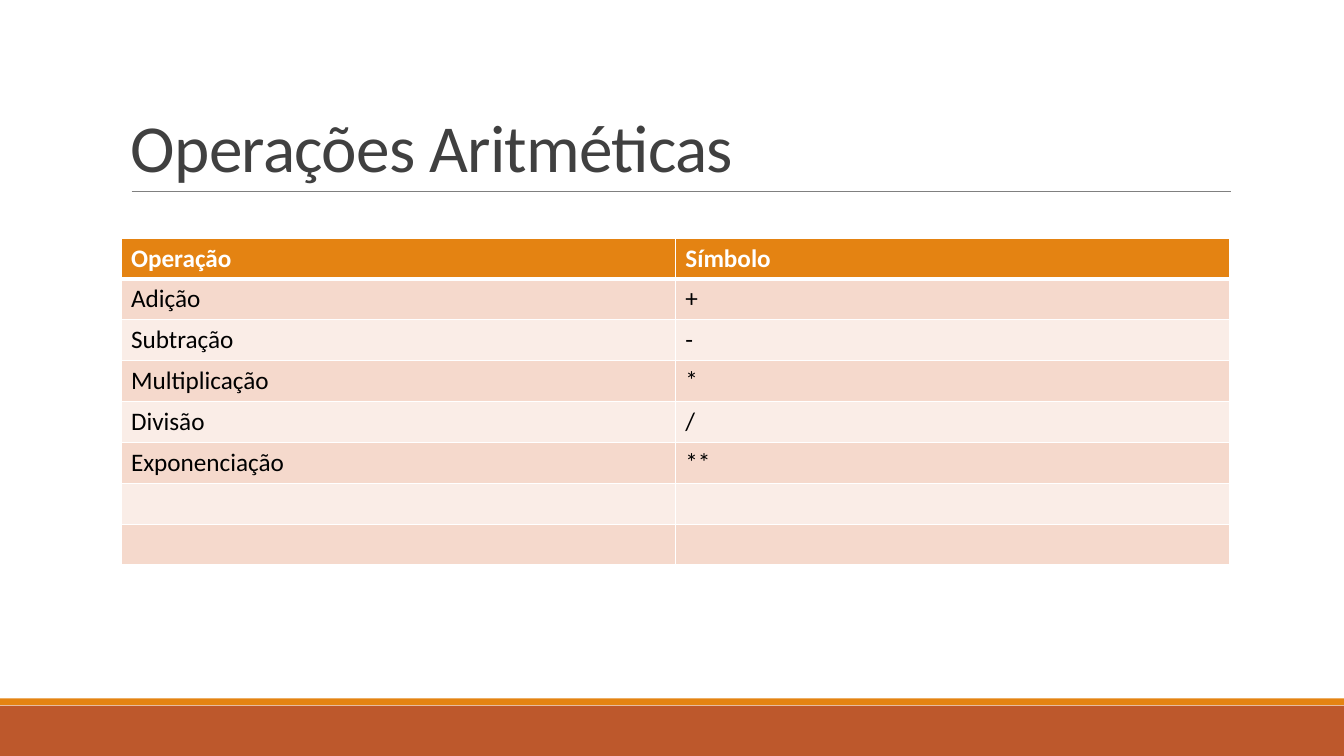
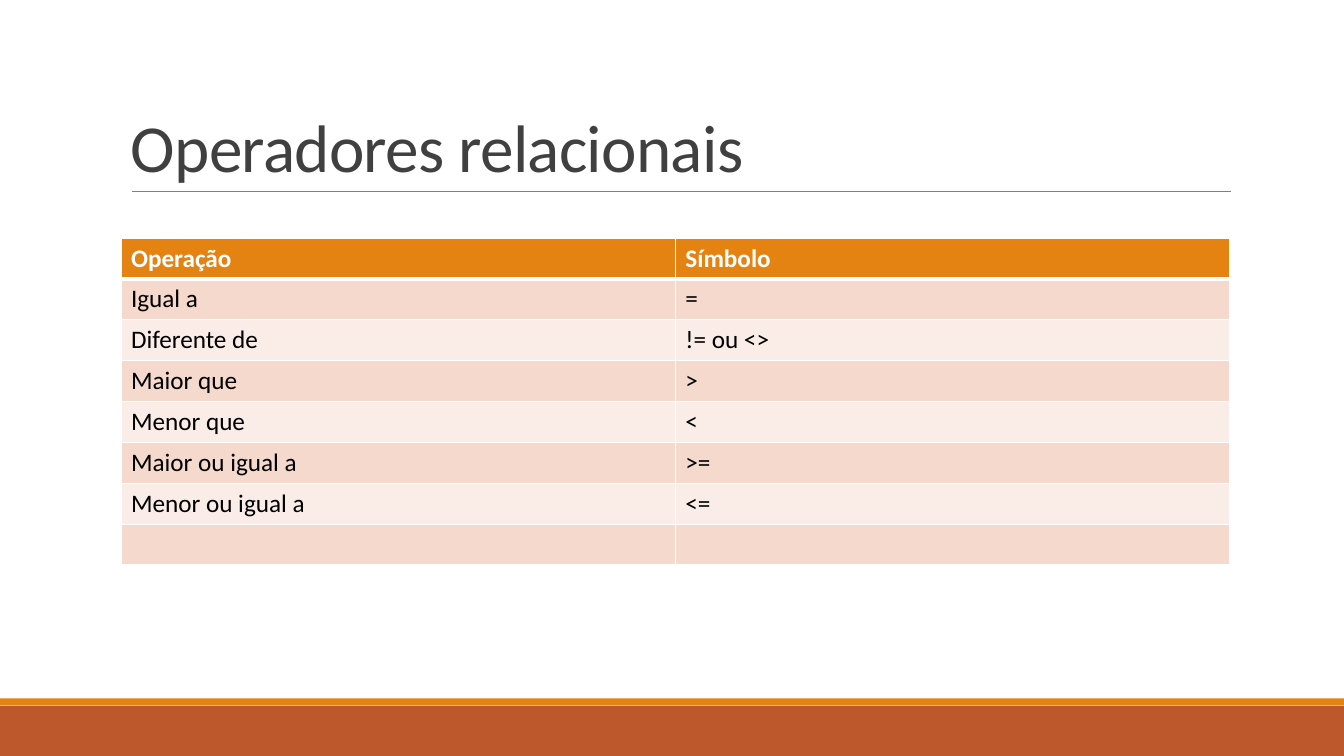
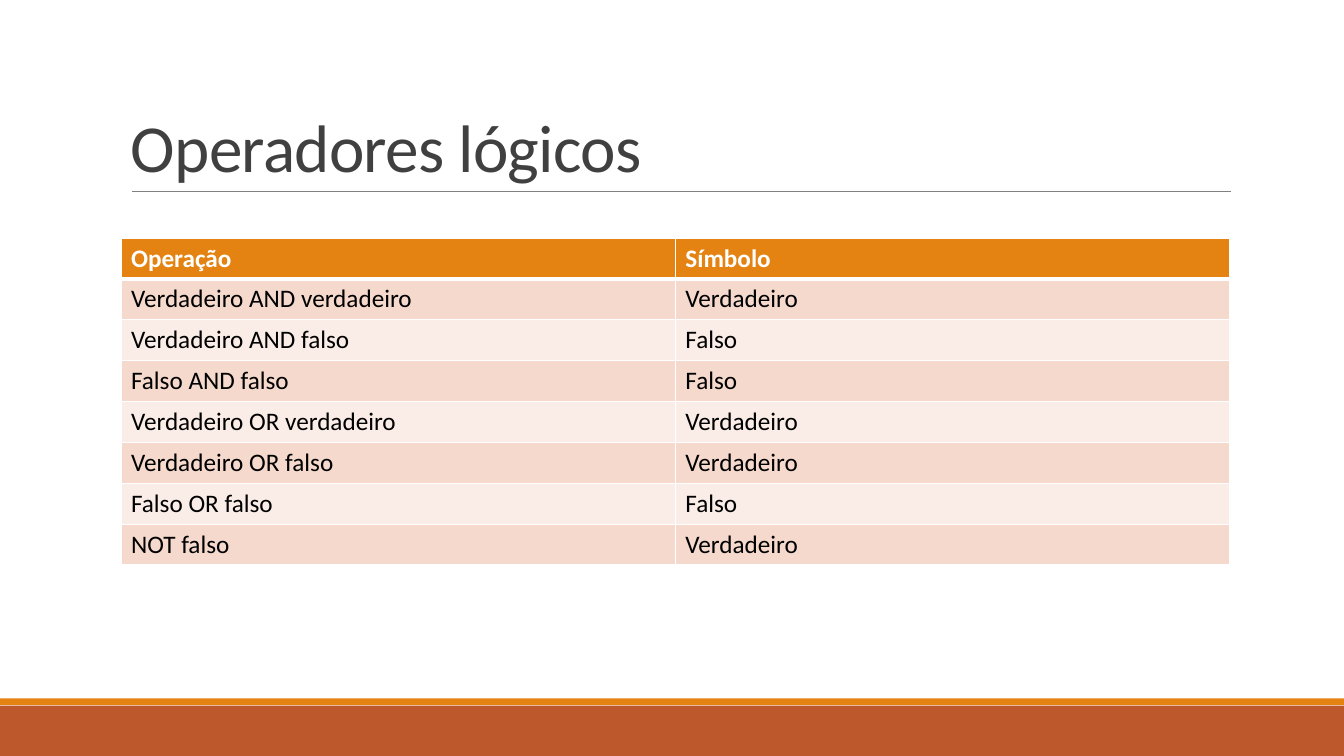
from lxml import etree
from pptx import Presentation
from pptx.dml.color import RGBColor
from pptx.enum.shapes import MSO_CONNECTOR, MSO_SHAPE
from pptx.enum.text import MSO_ANCHOR
from pptx.oxml.ns import qn
from pptx.util import Pt

RECTANGLE = MSO_SHAPE.RECTANGLE
STRAIGHT = MSO_CONNECTOR.STRAIGHT
BOTTOM = MSO_ANCHOR.BOTTOM

FONT = "Calibri"
WHITE, BLACK, TITLE_GREY, RULE_GREY = "FFFFFF", "000000", "404040", "808080"
ORANGE, RUST = "E48312", "BD582C"
ROW_FILLS = ["FAEDE7", "F5D9CC"]

SLIDE_WIDTH, SLIDE_HEIGHT = 960, 540
CONTENT_LEFT, CONTENT_WIDTH = 86.4, 792
TABLE_TOP, ROW_HEIGHT, ROW_COUNT = 170, 29.2, 8
BANDS = [(504, 36, RUST), (498.8, 5, ORANGE)]

HEADER = ("Operação", "Símbolo")
SLIDES = [
    ("Operações Aritméticas", [
        ("Adição", "+"),
        ("Subtração", "-"),
        ("Multiplicação", "*"),
        ("Divisão", "/"),
        ("Exponenciação", "**"),
    ]),
    ("Operadores relacionais", [
        ("Igual a", "="),
        ("Diferente de", "!= ou <>"),
        ("Maior que", ">"),
        ("Menor que", "<"),
        ("Maior ou igual a", ">="),
        ("Menor ou igual a", "<="),
    ]),
    ("Operadores lógicos", [
        ("Verdadeiro AND verdadeiro", "Verdadeiro"),
        ("Verdadeiro AND falso", "Falso"),
        ("Falso AND falso", "Falso"),
        ("Verdadeiro OR verdadeiro", "Verdadeiro"),
        ("Verdadeiro OR falso", "Verdadeiro"),
        ("Falso OR falso", "Falso"),
        ("NOT falso", "Verdadeiro"),
    ]),
]


def paint(color_format, color):
    """Set a fill, line or font colour from a hex string."""
    color_format.rgb = RGBColor.from_string(color)


def add_run(paragraph, text, size, color, bold=False):
    run = paragraph.add_run()
    run.text = text
    run.font.name = FONT
    run.font.size = Pt(size)
    run.font.bold = bold
    paint(run.font.color, color)
    return run


presentation = Presentation()
presentation.slide_width = Pt(SLIDE_WIDTH)
presentation.slide_height = Pt(SLIDE_HEIGHT)
blank_layout = presentation.slide_layouts[6]

for title, operations in SLIDES:
    slide = presentation.slides.add_slide(blank_layout)

    for top, height, color in BANDS:
        band = slide.shapes.add_shape(RECTANGLE, 0, Pt(top), Pt(SLIDE_WIDTH), Pt(height))
        band.shadow.inherit = False
        band.fill.solid()
        paint(band.fill.fore_color, color)
        band.line.fill.background()

    rule = slide.shapes.add_connector(STRAIGHT, Pt(94), Pt(136.8), Pt(879), Pt(136.8))
    rule.line.width = Pt(0.5)
    paint(rule.line.color, RULE_GREY)
    etree.SubElement(rule.line._get_or_add_ln().getparent(), qn("a:effectLst"))

    title_box = slide.shapes.add_textbox(
        Pt(CONTENT_LEFT), Pt(22.5), Pt(CONTENT_WIDTH), Pt(114.3))
    title_box.text_frame.word_wrap = True
    title_box.text_frame.vertical_anchor = BOTTOM
    paragraph = title_box.text_frame.paragraphs[0]
    paragraph.line_spacing = 0.85
    title_run = add_run(paragraph, title, 48, TITLE_GREY)
    title_run.font._element.set("spc", "-50")

    table = slide.shapes.add_table(
        ROW_COUNT, len(HEADER), Pt(CONTENT_LEFT), Pt(TABLE_TOP),
        Pt(CONTENT_WIDTH), Pt(ROW_HEIGHT * ROW_COUNT)).table
    rows = [HEADER] + operations
    for row in range(ROW_COUNT):
        table.rows[row].height = Pt(ROW_HEIGHT)
        is_header = row == 0
        for column in range(len(HEADER)):
            cell = table.cell(row, column)
            properties = cell._tc.get_or_add_tcPr()
            for side in ("lnL", "lnR", "lnT", "lnB"):
                under_header = (row, side) in ((0, "lnB"), (1, "lnT"))
                border = etree.SubElement(
                    properties, qn(f"a:{side}"), w=str(Pt(3 if under_header else 1)))
                border_fill = etree.SubElement(border, qn("a:solidFill"))
                etree.SubElement(border_fill, qn("a:srgbClr"), val=WHITE)
            cell.fill.solid()
            paint(cell.fill.fore_color, ORANGE if is_header else ROW_FILLS[row % 2])
            if row < len(rows):
                add_run(cell.text_frame.paragraphs[0], rows[row][column], 18,
                        WHITE if is_header else BLACK, is_header)

presentation.save("out.pptx")
